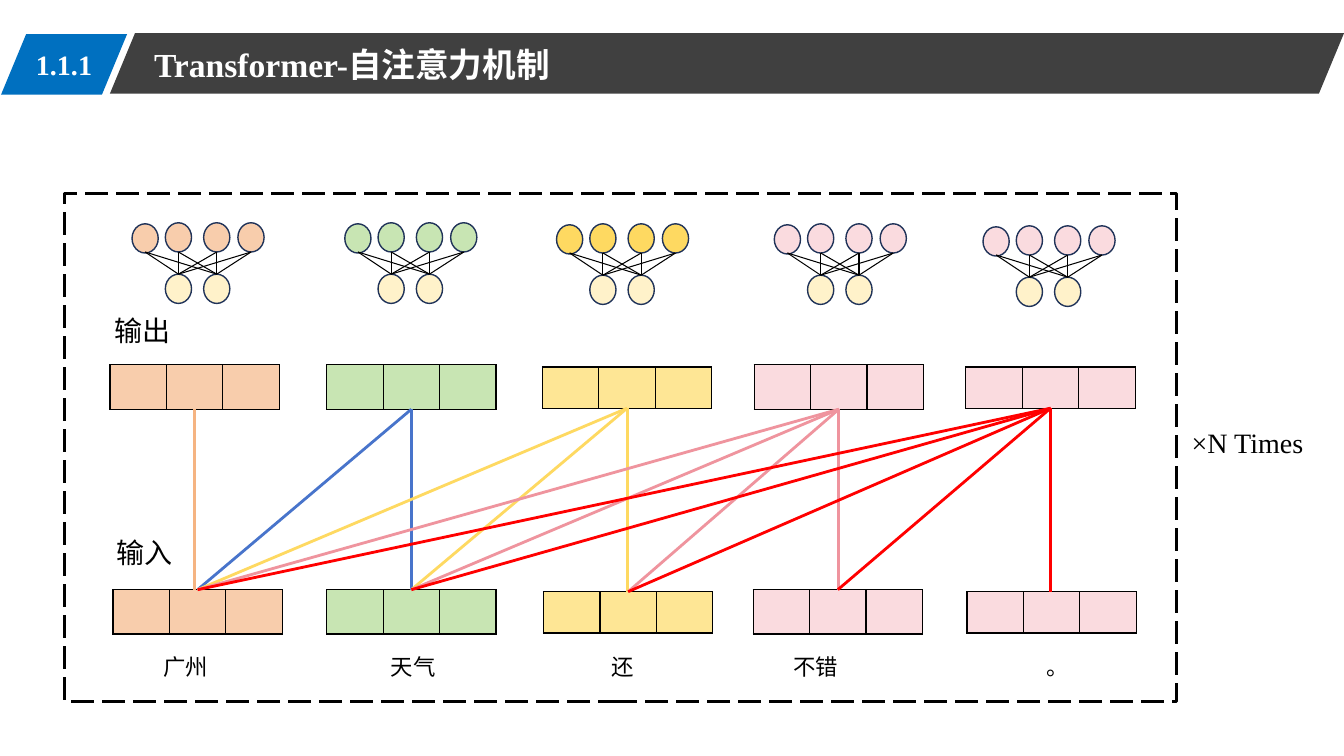
from dataclasses import dataclass

from lxml import etree
from pptx import Presentation
from pptx.dml.color import RGBColor
from pptx.enum.dml import MSO_LINE
from pptx.enum.shapes import MSO_CONNECTOR, MSO_SHAPE
from pptx.enum.text import MSO_AUTO_SIZE, PP_ALIGN
from pptx.oxml.ns import qn
from pptx.util import Inches, Pt


@dataclass(frozen=True)
class Theme:
    latin: str = "Times New Roman"
    chinese: str = "Noto Sans CJK SC"
    black: str = "000000"
    white: str = "FFFFFF"
    title_bar: str = "404040"
    number_tab: str = "0070C0"
    neuron_outline: str = "203359"
    hidden_neuron: str = "FFF2CA"
    word_size: int = 16
    label_size: int = 20
    title_size: int = 24
    thin: float = 0.75
    outline: float = 1
    thick: float = 2


@dataclass(frozen=True)
class Token:
    word: str
    fill: str
    neuron_fill: str
    link: str
    input_left: float
    output_left: float
    vector_inset: float  # how far the vector is trimmed at its top
    vector_height: float
    word_left: float
    network_left: float
    network_top: float


THEME = Theme()
TOKENS = [
    Token("广州", "F8CDAC", "F8CDAC", "F5B482", 1.12, 1.09, 0, 0.44, 1.52, 1.31, 2.21),
    Token("天气", "C8E5B3", "C8E5B3", "4874CB", 3.24, 3.24, 0, 0.44, 3.78, 3.42, 2.21),
    Token("还", "FEE695", "FED961", "FED961", 5.39, 5.38, 0.02, 0.41, 5.97, 5.52, 2.22),
    Token("不错", "FADBDF", "FADBDF", "EF949E", 7.47, 7.48, 0, 0.44, 7.77, 7.68, 2.22),
    Token("。", "FADBDF", "FADBDF", "FF0000", 9.59, 9.58, 0.02, 0.41, 10.28, 9.75, 2.24),
]
INPUT_TOP, OUTPUT_TOP = 5.85, 3.62
CELL_WIDTH, CELL_COUNT = 0.56, 3
VECTOR_CENTRE = CELL_WIDTH * CELL_COUNT / 2
NEURON_WIDTH, NEURON_HEIGHT = 0.26, 0.29
NEURON_OFFSETS = (0, 0.33, 0.71, 1.05)
HIDDEN_OFFSETS = NEURON_OFFSETS[1:3]
HIDDEN_DROP = 0.51


def rgb(value):
    return RGBColor.from_string(value)


def add_text(slide, text, left, top, width, height, size, font=THEME.chinese,
             color=THEME.black, bold=False, align=PP_ALIGN.LEFT, wrap=True):
    box = slide.shapes.add_textbox(Inches(left), Inches(top), Inches(width), Inches(height))
    frame = box.text_frame
    frame.word_wrap = wrap
    if not wrap:
        frame.auto_size = MSO_AUTO_SIZE.SHAPE_TO_FIT_TEXT
    frame.text = text
    paragraph = frame.paragraphs[0]
    paragraph.alignment = align
    run_font = paragraph.runs[0].font
    run_font.size, run_font.bold, run_font.name = Pt(size), bold, font
    run_font.color.rgb = rgb(color)
    east_asian = etree.Element(qn("a:ea"), typeface=THEME.chinese)
    paragraph.runs[0]._r.rPr.find(qn("a:latin")).addnext(east_asian)


def add_shape(shapes, kind, left, top, width, height, fill=None, line=None,
              line_width=THEME.outline):
    shape = shapes.add_shape(kind, Inches(left), Inches(top), Inches(width), Inches(height))
    shape.shadow.inherit = False
    if fill:
        shape.fill.solid()
        shape.fill.fore_color.rgb = rgb(fill)
    else:
        shape.fill.background()
    if line:
        shape.line.color.rgb = rgb(line)
        shape.line.width = Pt(line_width)
    else:
        shape.line.fill.background()
    return shape


def add_line(shapes, start, end, color, width):
    connector = shapes.add_connector(MSO_CONNECTOR.STRAIGHT, *map(Inches, (*start, *end)))
    connector.line.color.rgb = rgb(color)
    connector.line.width = Pt(width)
    etree.SubElement(connector._element.spPr, qn("a:effectLst"))


def set_cell_borders(cell):
    properties = cell._tc.get_or_add_tcPr()
    for index, side in enumerate(("a:lnL", "a:lnR", "a:lnT", "a:lnB")):
        border = etree.Element(qn(side), w=str(Pt(THEME.outline)))
        fill = etree.SubElement(border, qn("a:solidFill"))
        etree.SubElement(fill, qn("a:srgbClr"), val=THEME.black)
        properties.insert(index, border)


def add_vector(slide, left, top, height, fill):
    table = slide.shapes.add_table(
        1, CELL_COUNT, Inches(left), Inches(top),
        Inches(CELL_WIDTH * CELL_COUNT), Inches(height)).table
    table.first_row = table.horz_banding = False
    for cell in table.iter_cells():
        cell.margin_top = cell.margin_bottom = 0
        cell.fill.solid()
        cell.fill.fore_color.rgb = rgb(fill)
        set_cell_borders(cell)


def add_network(slide, token):
    shapes = slide.shapes.add_group_shape().shapes
    left, top = token.network_left, token.network_top
    hidden_top = top + HIDDEN_DROP
    for offsets, row_top, fill in ((NEURON_OFFSETS, top, token.neuron_fill),
                                   (HIDDEN_OFFSETS, hidden_top, THEME.hidden_neuron)):
        for offset in offsets:
            drop = 0.01 if offset == 0 else 0
            add_shape(shapes, MSO_SHAPE.OVAL, left + offset, row_top + drop,
                      NEURON_WIDTH, NEURON_HEIGHT, fill, THEME.neuron_outline)
    centre = left + NEURON_WIDTH / 2
    for upper in NEURON_OFFSETS:
        for lower in HIDDEN_OFFSETS:
            add_line(shapes, (centre + upper, top + NEURON_HEIGHT),
                     (centre + lower, hidden_top), THEME.black, THEME.thin)


def add_attention_links(slide, position):
    """Link an output to its own input and to every earlier one."""
    token = TOKENS[position]
    start = (token.output_left + VECTOR_CENTRE,
             OUTPUT_TOP + token.vector_inset + token.vector_height)
    for source in reversed(TOKENS[:position + 1]):
        end_x = start[0] if source is token else source.input_left + VECTOR_CENTRE
        add_line(slide.shapes, start, (end_x, INPUT_TOP + source.vector_inset),
                 token.link, THEME.thick)


def add_header(slide):
    for left, top, width, fill in ((1.09, 0.33, 12.24, THEME.title_bar),
                                   (0.01, 0.34, 1.25, THEME.number_tab)):
        bar = add_shape(slide.shapes, MSO_SHAPE.PARALLELOGRAM, left, top, width, 0.6, fill)
        bar.adjustments[0] = 0.415
    add_text(slide, "1.1.1", 0.18, 0.42, 0.91, 0.44, THEME.label_size, THEME.latin,
             THEME.white, bold=True, align=PP_ALIGN.CENTER)
    add_text(slide, "Transformer-自注意力机制", 1.43, 0.39, 4.27, 0.5, THEME.title_size,
             THEME.latin, THEME.white, bold=True, wrap=False)


def main():
    presentation = Presentation()
    presentation.slide_width, presentation.slide_height = Inches(13.33), Inches(7.5)
    slide = presentation.slides.add_slide(presentation.slide_layouts[6])

    # Input and output vectors with their words
    for token in TOKENS:
        for left, top in ((token.input_left, INPUT_TOP), (token.output_left, OUTPUT_TOP)):
            add_vector(slide, left, top + token.vector_inset, token.vector_height, token.fill)
        add_text(slide, token.word, token.word_left, 6.43, 1.13, 0.37, THEME.word_size)
    add_text(slide, "输入", 1.06, 5.26, 0.99, 0.44, THEME.label_size)
    add_text(slide, "输出", 1.04, 3.06, 0.99, 0.44, THEME.label_size)

    # Attention links
    for position in range(len(TOKENS)):
        add_attention_links(slide, position)

    # Repeated block
    frame = add_shape(slide.shapes, MSO_SHAPE.RECTANGLE, 0.64, 1.92, 11.03, 5.04,
                      line=THEME.black, line_width=THEME.thick)
    frame.line.dash_style = MSO_LINE.LONG_DASH
    add_text(slide, "×N Times", 11.72, 4.17, 1.72, 0.49, THEME.label_size, THEME.latin)

    # Header and feed-forward networks
    add_header(slide)
    for token in TOKENS:
        add_network(slide, token)

    presentation.save("out.pptx")


if __name__ == "__main__":
    main()
